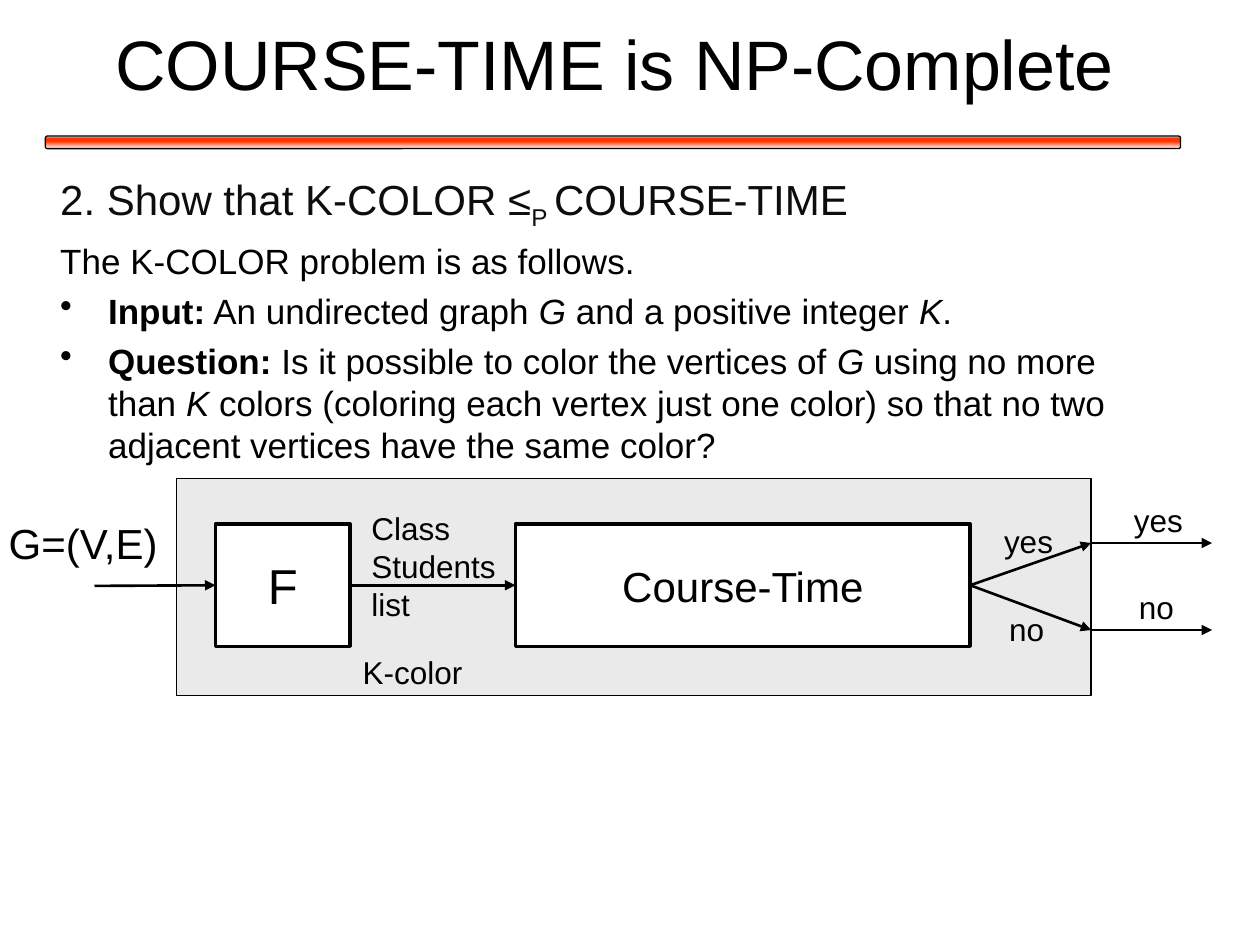
from dataclasses import dataclass
from typing import Optional

import pptx
import pptx.dml.color
import pptx.enum.dml
import pptx.enum.shapes
import pptx.enum.text
import pptx.oxml
import pptx.oxml.ns
import pptx.util
from pptx.util import Inches

ALIGN = pptx.enum.text.PP_ALIGN
ANCHOR = pptx.enum.text.MSO_ANCHOR
SHAPE = pptx.enum.shapes.MSO_SHAPE
NS = pptx.oxml.ns.nsdecls("a")
TOP, LEFT, BOTTOM, RIGHT = range(4)


@dataclass(frozen=True)
class Theme:
    font: str = "Arial"
    ink: str = "000000"
    heading: str = "0D0D0D"
    paper: str = "FFFFFF"
    panel: str = "EAEAEA"
    accent: str = "FF3300"
    title_size: float = 40
    function_size: float = 28
    large: float = 24
    body: float = 20
    label: float = 18
    thin: float = 0.75
    arrow: float = 1.5
    thick: float = 2


THEME = Theme()


@dataclass(frozen=True)
class Run:
    text: str
    bold: bool = False
    italic: bool = False
    subscript: bool = False


@dataclass(frozen=True)
class Label:
    text: str
    left: float
    top: float
    width: float
    height: float = 0.4
    size: float = THEME.label


@dataclass(frozen=True)
class Arrow:
    start: tuple[float, float]
    end: tuple[float, float]
    source: Optional[object] = None
    target: Optional[object] = None


def rgb(color: str):
    return pptx.dml.color.RGBColor.from_string(color)


def write(paragraph, runs, *, size: float, color: str = THEME.ink, align=ALIGN.LEFT,
          before: float = 0, bullet: bool = False) -> None:
    """Fill a paragraph with a string or a list of runs."""
    paragraph.alignment = align
    paragraph.space_before = pptx.util.Pt(before)
    if bullet:
        properties = paragraph._p.get_or_add_pPr()
        properties.set("marL", str(Inches(0.38)))
        properties.set("indent", str(-Inches(0.38)))
        properties.append(pptx.oxml.parse_xml(f'<a:buChar {NS} char="•"/>'))
    for part in [Run(runs)] if isinstance(runs, str) else runs:
        run = paragraph.add_run()
        run.text = part.text
        run.font.name = THEME.font
        run.font.size = pptx.util.Pt(size)
        run.font.color.rgb = rgb(color)
        run.font.bold = part.bold
        run.font.italic = part.italic
        if part.subscript:
            run._r.get_or_add_rPr().set("baseline", "-25000")


def add_text_frame(slide, left: float, top: float, width: float, height: float,
                   wrap: bool = True, anchor=ANCHOR.TOP):
    frame = slide.shapes.add_textbox(
        Inches(left), Inches(top), Inches(width), Inches(height)).text_frame
    frame.word_wrap = wrap
    frame.vertical_anchor = anchor
    return frame


def add_box(slide, left: float, top: float, width: float, height: float, *,
            fill: str = THEME.paper, line: float = THEME.thick, kind=SHAPE.RECTANGLE,
            text: str = "", size: float = THEME.large):
    box = slide.shapes.add_shape(
        kind, Inches(left), Inches(top), Inches(width), Inches(height))
    box.shadow.inherit = False
    box.fill.solid()
    box.fill.fore_color.rgb = rgb(fill)
    box.line.color.rgb = rgb(THEME.ink)
    box.line.width = pptx.util.Pt(line)
    if text:
        box.text_frame.word_wrap = False
        box.text_frame.vertical_anchor = ANCHOR.MIDDLE
        write(box.text_frame.paragraphs[0], text, size=size, align=ALIGN.CENTER)
    return box


def add_title_rule(slide) -> None:
    """Draw the bar under the title, shaded from white through red to white."""
    rule = add_box(slide, 0.36, 1.08, 9.01, 0.1, line=THEME.thin,
                   kind=SHAPE.ROUNDED_RECTANGLE)
    rule.fill.gradient()
    rule.fill.gradient_angle = 270
    stops = rule._element.spPr.find(".//" + pptx.oxml.ns.qn("a:gsLst"))
    for stop in list(stops):
        stops.remove(stop)
    for percent, color in ((0, THEME.paper), (16, THEME.accent),
                           (42, THEME.accent), (100, THEME.paper)):
        stops.append(pptx.oxml.parse_xml(
            f'<a:gs {NS} pos="{percent * 1000}"><a:srgbClr val="{color}"/></a:gs>'))


def add_arrow(slide, arrow: Arrow) -> None:
    connector = slide.shapes.add_connector(
        pptx.enum.shapes.MSO_CONNECTOR.STRAIGHT,
        *(Inches(value) for value in arrow.start + arrow.end))
    if arrow.source is not None:
        connector.begin_connect(arrow.source, RIGHT)
    if arrow.target is not None:
        connector.end_connect(arrow.target, LEFT)
    connector.line.color.rgb = rgb(THEME.ink)
    connector.line.width = pptx.util.Pt(THEME.arrow)
    connector.line._get_or_add_ln().append(
        pptx.oxml.parse_xml(f'<a:tailEnd {NS} type="triangle"/>'))
    connector._element.spPr.append(pptx.oxml.parse_xml(f"<a:effectLst {NS}/>"))


def add_problem_statement(slide) -> None:
    frame = add_text_frame(slide, 0.38, 1.33, 9, 5.55)
    write(frame.paragraphs[0],
          [Run("2. Show that K-COLOR ≤"), Run("P ", subscript=True), Run("COURSE-TIME")],
          size=THEME.large, color=THEME.heading, before=5.5)
    write(frame.add_paragraph(), "The K-COLOR problem is as follows.",
          size=THEME.body, before=4.6)
    definitions = (
        [Run("Input:", bold=True), Run(" An undirected graph "), Run("G", italic=True),
         Run(" and a positive integer "), Run("K", italic=True), Run(".")],
        [Run("Question:", bold=True),
         Run(" Is it possible to color the vertices of "), Run("G", italic=True),
         Run(" using no more than "), Run("K", italic=True),
         Run(" colors (coloring each vertex just one color) so that no two "
             "adjacent vertices have the same color?")],
    )
    for definition in definitions:
        write(frame.add_paragraph(), definition, size=THEME.body, before=4.6, bullet=True)


def add_reduction_diagram(slide) -> None:
    add_box(slide, 1.4, 3.8, 7.26, 1.72, fill=THEME.panel, line=THEME.thin)
    transform = add_box(slide, 1.71, 4.16, 1.07, 0.97, text="F", size=THEME.function_size)
    solver = add_box(slide, 4.09, 4.16, 3.61, 0.97, text="Course-Time")
    middle, yes, no = 4.65, 4.31, 5
    for arrow in (
        Arrow((0.75, middle), (1.71, middle), target=transform),
        Arrow((2.78, middle), (4.09, middle), source=transform, target=solver),
        Arrow((7.7, middle), (8.66, yes), source=solver),
        Arrow((7.7, middle), (8.66, no), source=solver),
        Arrow((8.66, yes), (9.62, yes)),
        Arrow((8.66, no), (9.62, no)),
    ):
        add_arrow(slide, arrow)
    for label in (
        Label("G=(V,E)", -0.03, 4.06, 1.39, 0.51, THEME.large),
        Label("Class\nStudents\nlist", 2.85, 3.99, 1.2, 1.01),
        Label("yes", 7.87, 4.09, 0.59),
        Label("no", 7.91, 4.79, 0.48),
        Label("yes", 8.9, 3.93, 0.59),
        Label("no", 8.94, 4.62, 0.48),
        Label("K-color", 2.78, 5.13, 1),
    ):
        frame = add_text_frame(slide, label.left, label.top, label.width, label.height,
                               wrap=False)
        for index, line in enumerate(label.text.split("\n")):
            paragraph = frame.add_paragraph() if index else frame.paragraphs[0]
            write(paragraph, line, size=label.size)


def main() -> None:
    deck = pptx.Presentation()
    deck.slide_width, deck.slide_height = Inches(10), Inches(7.5)
    slide = deck.slides.add_slide(deck.slide_layouts[6])
    add_title_rule(slide)
    title = add_text_frame(slide, 0.38, 0, 9, 0.99, anchor=ANCHOR.MIDDLE)
    write(title.paragraphs[0], "COURSE-TIME is NP-Complete",
          size=THEME.title_size, align=ALIGN.CENTER)
    add_problem_statement(slide)
    add_reduction_diagram(slide)
    deck.save("out.pptx")


if __name__ == "__main__":
    main()
